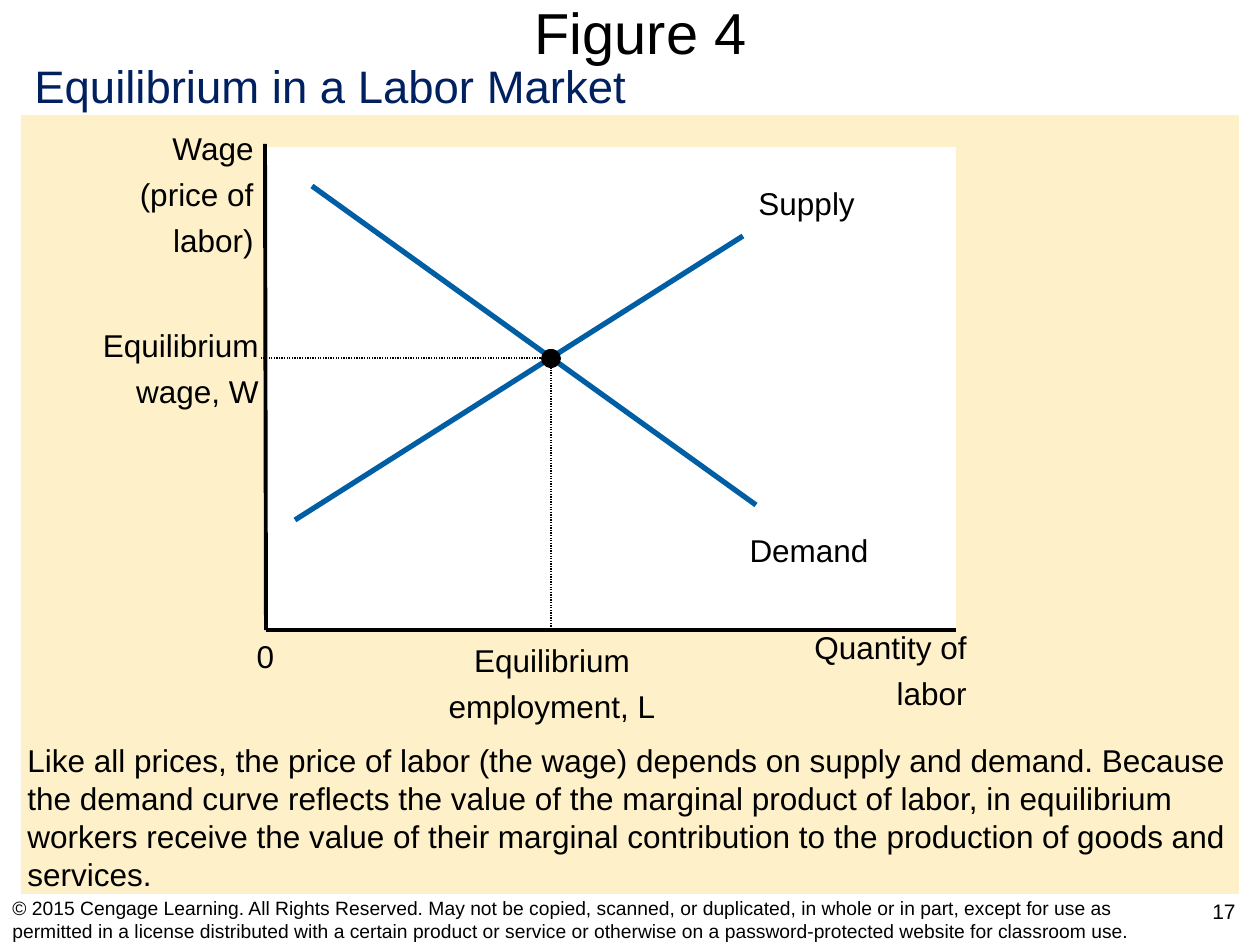
import pptx
import pptx.util
import pptx.dml.color
import pptx.enum.dml
import pptx.enum.shapes
import pptx.enum.text
import pptx.oxml

Pt = pptx.util.Pt
Align = pptx.enum.text.PP_ALIGN
Kind = pptx.enum.shapes.MSO_SHAPE
Dash = pptx.enum.dml.MSO_LINE
PX = 914400 / 126

theme = {
    "font": "Arial",
    "ink": "000000", "navy": "002060", "blue": "005EA4",
    "sand": "FEF0C8", "white": "FFFFFF",
    "title": 33, "head": 26, "body": 18, "page": 12, "foot": 11,
    "axis": 2.25, "curve": 3, "guide": 0.75,
}


def emu(*sides):
    return [round(side * PX) for side in sides]


def tint(name):
    return pptx.dml.color.RGBColor.from_string(theme[name])


deck = pptx.Presentation()
deck.slide_width, deck.slide_height = emu(1260, 945)
slide = deck.slides.add_slide(deck.slide_layouts[6])
shapes = slide.shapes

lines = [
    ((265, 144), (266, 630), "ink", "axis", None),
    ((266, 630), (956, 630), "ink", "axis", None),
    ((551, 357), (551, 629), "ink", "guide", Dash.ROUND_DOT),
    ((551, 358), (261, 358), "ink", "guide", Dash.ROUND_DOT),
    ((312, 186), (756, 505), "blue", "curve", None),
    ((295, 520), (743, 236), "blue", "curve", None),
]
plates = [
    (Kind.RECTANGLE, (21, 115, 1218, 779), "sand"),
    (Kind.RECTANGLE, (266, 147, 690, 481), "white"),
    (Kind.OVAL, (541, 349, 20, 19), "ink"),
]

for kind, box, fill in plates:
    if kind == Kind.OVAL:
        for start, end, color, width, dash in lines:
            line = shapes.add_connector(
                pptx.enum.shapes.MSO_CONNECTOR.STRAIGHT, *emu(*start, *end))
            line.line.color.rgb = tint(color)
            look = {"width": Pt(theme[width]), "dash_style": dash}
            for key, value in look.items():
                setattr(line.line, key, value)
            line._element.spPr.append(pptx.oxml.parse_xml(
                '<a:effectLst xmlns:a="http://schemas.openxmlformats.org/drawingml/2006/main"/>'))
    plate = shapes.add_shape(kind, *emu(*box))
    plate.shadow.inherit = False
    plate.fill.solid()
    plate.fill.fore_color.rgb = tint(fill)
    plate.line.fill.background()

top = pptx.enum.text.MSO_ANCHOR.TOP
mid = pptx.enum.text.MSO_ANCHOR.MIDDLE
texts = [
    ((44, 0, 1193, 62), ["Figure 4"], "title", "ink", Align.CENTER, mid),
    ((1188, 892, 72, 52), ["17"], "page", "ink", Align.CENTER, top),
    ((0, 894, 1187, 50), [
        "© 2015 Cengage Learning. All Rights Reserved. May not be copied, scanned, "
        "or duplicated, in whole or in part, except for use as permitted in a license "
        "distributed with a certain product or service or otherwise on a "
        "password-protected website for classroom use."],
     "foot", "ink", Align.LEFT, mid),
    ((22, 52, 700, 68), ["Equilibrium in a Labor Market"],
     "head", "navy", Align.LEFT, top),
    ((15, 735, 1231, 164), [
        "Like all prices, the price of labor (the wage) depends on supply and demand. "
        "Because the demand curve reflects the value of the marginal product of labor, "
        "in equilibrium workers receive the value of their marginal contribution to "
        "the production of goods and services."],
     "body", "ink", Align.LEFT, top),
]
labels = [
    ((87, 123, 179, 142), ["Wage", "(price of", "labor)"], Align.RIGHT),
    ((761, 622, 218, 97), ["Quantity of", "labor"], Align.RIGHT),
    ((234, 631, 63, 50), ["0"], Align.CENTER),
    ((416, 635, 272, 97), ["Equilibrium", "employment, L"], Align.CENTER),
    ((51, 320, 220, 97), ["Equilibrium", "wage, W"], Align.RIGHT),
    ((717, 525, 184, 50), ["Demand"], Align.CENTER),
    ((726, 178, 170, 50), ["Supply "], Align.CENTER),
]
for box, rows, align in labels:
    texts.append((box, rows, "body", "ink", align, top))

for box, rows, size, color, align, anchor in texts:
    frame = shapes.add_textbox(*emu(*box)).text_frame
    for key, value in {"word_wrap": True, "vertical_anchor": anchor}.items():
        setattr(frame, key, value)
    frame.text = "\n".join(rows)
    for spot, para in enumerate(frame.paragraphs):
        form = {"alignment": align, "line_spacing": 1.0,
                "space_before": Pt(4.5 if spot else 0)}
        for key, value in form.items():
            setattr(para, key, value)
        for key, value in {"name": theme["font"], "size": Pt(theme[size])}.items():
            setattr(para.font, key, value)
        para.font.color.rgb = tint(color)

deck.save("out.pptx")
